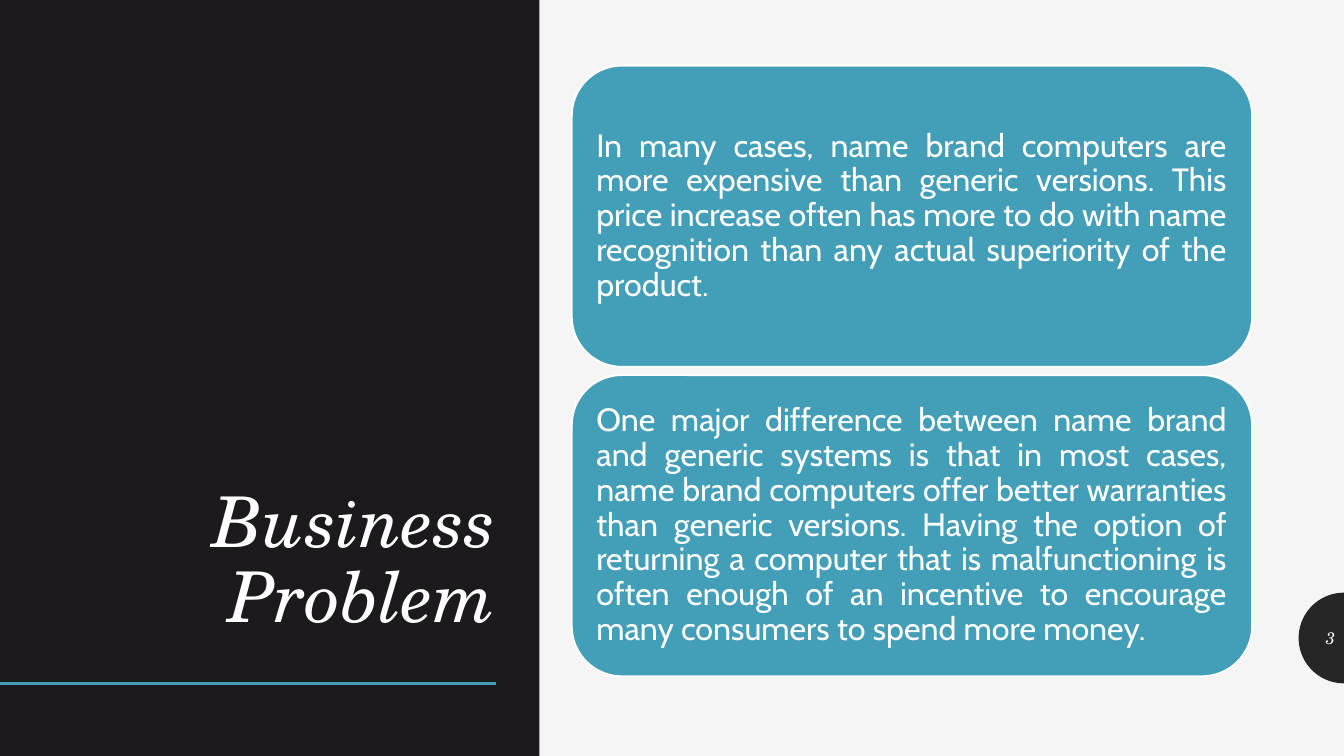
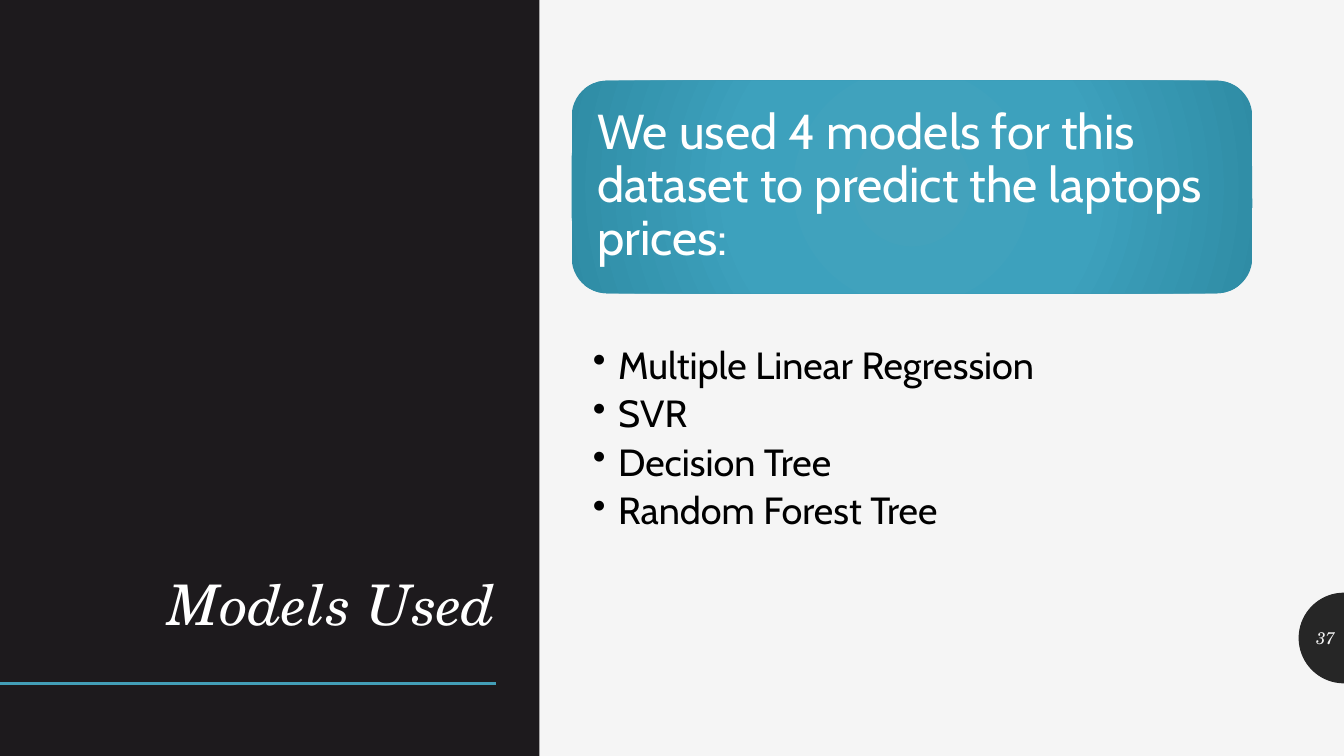
import math
from dataclasses import dataclass

from pptx import Presentation
from pptx import util as u
from pptx.dml import color
from pptx.enum import shapes, text
from pptx.oxml import ns, parse_xml


@dataclass(frozen=True)
class Theme:
    background: str = "F5F5F5"
    band: str = "1D1A1D"
    badge: str = "262626"
    accent: str = "439EB7"
    light: str = "FFFFFF"
    dark: str = "000000"
    glow: tuple = ("43A2BC", "3DA1BD", "2F8CA5")
    heading_font: str = "TeX Gyre Schola"
    body_font: str = "Cabin"
    title_size: int = 40
    large_title_size: int = 50
    card_size: int = 23
    lead_size: int = 35
    list_size: int = 27
    number_size: int = 12


class Deck:
    WIDTH, HEIGHT = 13.33, 7.5
    RULE_Y = 6.78
    CONTENT_LEFT, CONTENT_WIDTH = 5.67, 6.75

    def __init__(self, theme):
        self.theme = theme
        self.presentation = Presentation()
        self.presentation.slide_width = u.Inches(self.WIDTH)
        self.presentation.slide_height = u.Inches(self.HEIGHT)
        self.slide = None

    def add_slide(self, title, number, title_size):
        layout = self.presentation.slide_layouts[5]
        self.slide = self.presentation.slides.add_slide(layout)
        self.paint(self.slide.background.fill, self.theme.background)
        self.page_number(number)
        self.band()
        self.title(title, title_size)

    def paint(self, fill, rgb):
        fill.solid()
        fill.fore_color.rgb = color.RGBColor.from_string(rgb)

    def box(self, left, top, width, height):
        return [u.Inches(value) for value in (left, top, width, height)]

    def format_frame(self, frame, anchor, margins):
        frame.word_wrap = True
        frame.auto_size = text.MSO_AUTO_SIZE.NONE
        frame.vertical_anchor = anchor
        (frame.margin_left, frame.margin_top,
         frame.margin_right, frame.margin_bottom) = self.box(*margins)

    def format_paragraph(self, paragraph, size, rgb, align, heading=False, spacing=0.9):
        paragraph.alignment = align
        paragraph.line_spacing = spacing
        for run in paragraph.runs:
            run.font.name = self.theme.heading_font if heading else self.theme.body_font
            run.font.size = u.Pt(size)
            run.font.italic = heading
            run.font.color.rgb = color.RGBColor.from_string(rgb)

    def band(self):
        band = self.slide.shapes.add_shape(
            shapes.MSO_SHAPE.RECTANGLE, *self.box(0, 0, 5.35, self.HEIGHT))
        band.shadow.inherit = False
        self.paint(band.fill, self.theme.band)
        band.line.fill.background()
        rule = self.slide.shapes.add_connector(
            shapes.MSO_CONNECTOR.STRAIGHT, *self.box(0, self.RULE_Y, 4.92, self.RULE_Y))
        rule.line.width = u.Pt(2)
        self.paint(rule.line.fill, self.theme.accent)
        rule._element.spPr.append(parse_xml(f"<a:effectLst {ns.nsdecls('a')}/>"))

    def title(self, wording, size):
        title = self.slide.shapes.title
        self.slide.shapes._spTree.append(title._element)
        title.left, title.top, title.width, title.height = self.box(0.83, 0.61, 4.19, 5.77)
        frame = title.text_frame
        frame.text = wording
        self.format_frame(frame, text.MSO_ANCHOR.BOTTOM, (0.1, 0.05, 0.1, 0.05))
        self.format_paragraph(frame.paragraphs[0], size, self.theme.light,
                              text.PP_ALIGN.RIGHT, heading=True)

    def page_number(self, number):
        radius, center_y = 0.45, 6.33
        points = []
        for degrees in range(90, 271, 5):
            angle = math.radians(degrees)
            points.append((u.Inches(self.WIDTH + radius * math.cos(angle)),
                           u.Inches(center_y + radius * math.sin(angle))))
        builder = self.slide.shapes.build_freeform(*points[0])
        builder.add_line_segments(points[1:], close=True)
        badge = builder.convert_to_shape()
        badge.shadow.inherit = False
        self.paint(badge.fill, self.theme.badge)
        badge.line.fill.background()
        label = self.slide.shapes.add_textbox(*self.box(12.89, 6.13, radius, 0.4))
        frame = label.text_frame
        frame.text = str(number)
        self.format_frame(frame, text.MSO_ANCHOR.MIDDLE, (0.1, 0.05, 0.1, 0.05))
        self.format_paragraph(frame.paragraphs[0], self.theme.number_size,
                              self.theme.background, text.PP_ALIGN.RIGHT,
                              heading=True, spacing=1.0)

    def rounded_box(self, wording, top, height, size, align, margin):
        shape = self.slide.shapes.add_shape(
            shapes.MSO_SHAPE.ROUNDED_RECTANGLE,
            *self.box(self.CONTENT_LEFT, top, self.CONTENT_WIDTH, height))
        shape.shadow.inherit = False
        frame = shape.text_frame
        frame.text = wording
        self.format_frame(frame, text.MSO_ANCHOR.MIDDLE, (margin,) * 4)
        self.format_paragraph(frame.paragraphs[0], size, self.theme.light, align)
        return shape

    def card(self, wording, top, height):
        card = self.rounded_box(wording, top, height, self.theme.card_size,
                                text.PP_ALIGN.JUSTIFY, 0.1)
        self.paint(card.fill, self.theme.accent)
        self.paint(card.line.fill, self.theme.light)
        card.line.width = u.Pt(1.5)

    def lead(self, wording, top, height):
        lead = self.rounded_box(wording, top, height, self.theme.lead_size,
                                text.PP_ALIGN.LEFT, 0.15)
        lead.line.fill.background()
        stops = "".join(
            f'<a:gs pos="{index * 50000}"><a:srgbClr val="{rgb}"/></a:gs>'
            for index, rgb in enumerate(self.theme.glow))
        lead._element.spPr.insert(2, parse_xml(
            f'<a:gradFill {ns.nsdecls("a")} rotWithShape="1"><a:gsLst>{stops}</a:gsLst>'
            '<a:path path="circle"><a:fillToRect l="50000" t="50000" r="50000" b="50000"/>'
            '</a:path></a:gradFill>'))

    def bullets(self, items, top, height):
        listing = self.slide.shapes.add_textbox(
            *self.box(self.CONTENT_LEFT, top, self.CONTENT_WIDTH, height))
        frame = listing.text_frame
        frame.text = "\n".join(items)
        self.format_frame(frame, text.MSO_ANCHOR.TOP, (0.21, 0.05, 0.27, 0.05))
        for paragraph in frame.paragraphs:
            properties = paragraph._p.get_or_add_pPr()
            properties.set("marL", str(u.Inches(0.25)))
            properties.set("indent", str(u.Inches(-0.25)))
            properties.append(parse_xml(f'<a:buChar {ns.nsdecls("a")} char="•"/>'))
            paragraph.space_after = u.Pt(5.4)
            self.format_paragraph(paragraph, self.theme.list_size, self.theme.dark,
                                  text.PP_ALIGN.LEFT)


def main():
    theme = Theme()
    deck = Deck(theme)

    deck.add_slide("Business Problem", 3, theme.large_title_size)
    card_height, card_gap = 2.99, 0.08
    problems = (
        "In many cases, name brand computers are more expensive than generic versions. "
        "This price increase often has more to do with name recognition than any actual "
        "superiority of the product.",
        "One major difference between name brand and generic systems is that in most "
        "cases, name brand computers offer better warranties than generic versions. "
        "Having the option of returning a computer that is malfunctioning is often "
        "enough of an incentive to encourage many consumers to spend more money.",
    )
    for index, problem in enumerate(problems):
        deck.card(problem, 0.65 + index * (card_height + card_gap), card_height)

    deck.add_slide("Models Used", 37, theme.title_size)
    deck.lead("We used 4 models for this dataset to predict the laptops prices:", 0.8, 2.11)
    deck.bullets(("Multiple Linear Regression", "SVR", "Decision Tree",
                  "Random Forest Tree"), 3.39, 3.18)

    deck.presentation.save("out.pptx")


if __name__ == "__main__":
    main()
